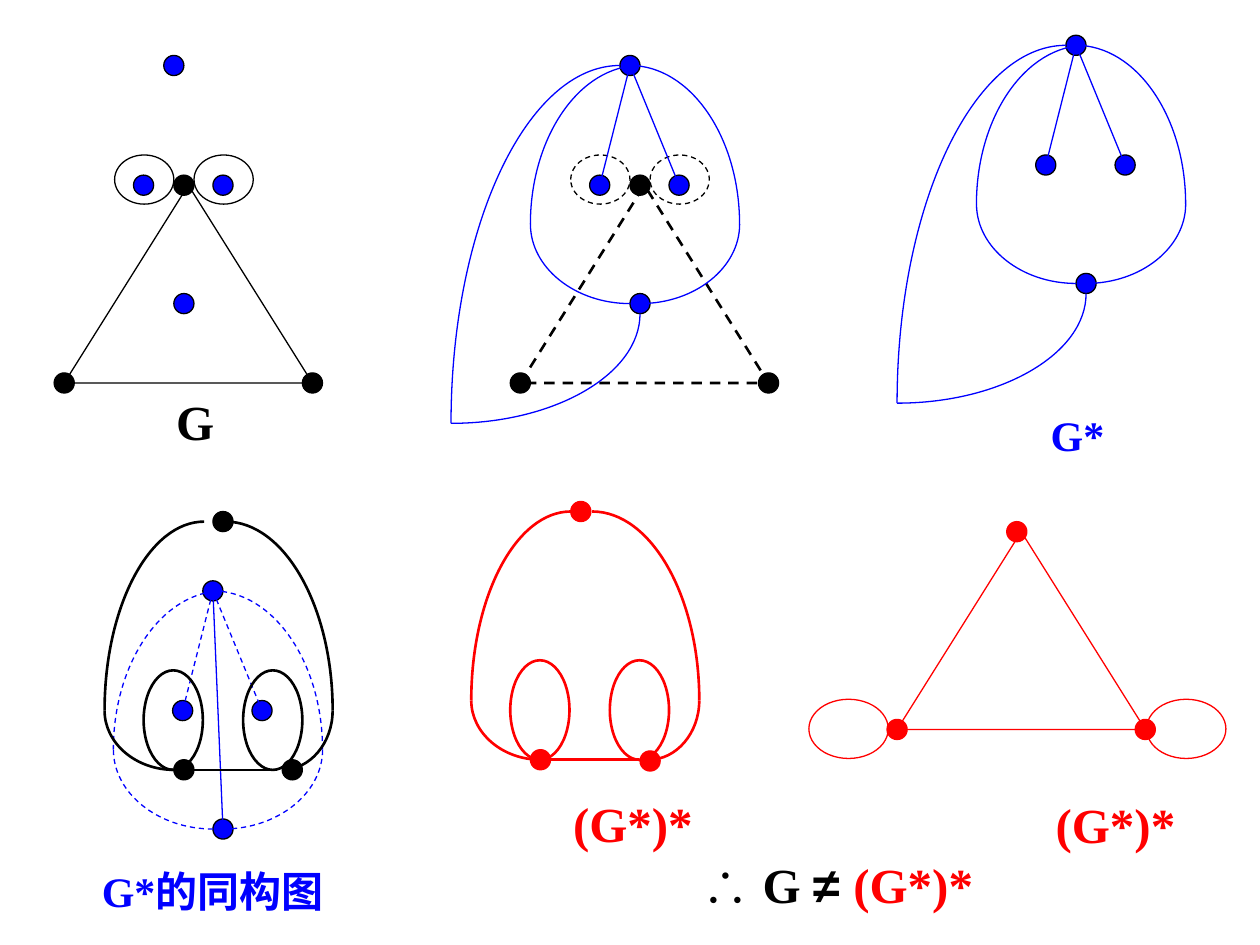
from lxml import etree
from pptx import Presentation
from pptx import util as u
from pptx.dml.color import RGBColor
from pptx.enum import dml, shapes, text
from pptx.oxml.ns import qn

BLACK, BLUE, RED = "000000", "0000FF", "FF0000"
SERIF, SANS = "Times New Roman", "Arial"
DOT = 0.16
BEND = 0.55

DUAL_DOTS = [(-0.24, 0.95), (0.39, 0.95), (0.08, 1.89), (0, 0)]
DUAL_ARCS = [((0, 0), (0.87, 1.26)), ((0.08, 0), (-0.79, 1.26)),
             ((0.08, 1.89), (0.87, 1.26)), ((0, 1.89), (-0.79, 1.26))]
DUAL_TAIL = [((-0.08, 0), (-1.42, 2.84)), ((-1.42, 2.84), (0.08, 1.97))]
EGG_ARCS = [((0.79, 0), (0, 1.5)), ((0.96, 0), (1.81, 1.5)),
            ((1.41, 1.97), (1.81, 1.5)), ((0.55, 1.97), (0, 1.5))]
EGG_LOOPS = [(0.31, 1.18, 0.47, 0.79), (1.1, 1.18, 0.47, 0.79)]
TRIANGLE_DOTS = [(0, 0), (1.02, 1.57), (-0.95, 1.57)]
APEX_LOOPS = [(0.08, -0.24, 0.47, 0.39), (-0.55, -0.24, 0.47, 0.39)]
BASE_LOOPS = [(-1.65, 1.33, 0.63, 0.47), (1.03, 1.33, 0.63, 0.47)]

TRIANGLES = [
    ((1.46, 1.47), BLACK, 0.75, False, APEX_LOOPS),
    ((5.08, 1.47), BLACK, 1.5, True, APEX_LOOPS),
    ((8.07, 4.22), RED, 0.75, False, BASE_LOOPS),
]
EGGS = [
    ((0.83, 4.14), BLACK, [(0.94, 0), (1.49, 1.97), (0.63, 1.97)]),
    ((3.74, 4.06), RED, [(0.87, 0), (1.42, 1.98), (0.55, 1.97)]),
]
DUALS = [
    ((5, 0.52), False, DUAL_TAIL),
    ((8.54, 0.36), False, DUAL_TAIL),
    ((1.69, 4.69), True, []),
]
FACES_OF_G = (1.38, 0.52)
LABELS = [
    ((8.24, 3.2, 0.65, 0.5), False, 24, [("G*", SERIF, BLUE)]),
    ((1.3, 3.06, 0.5, 0.57), False, 28, [("G", SERIF, BLACK)]),
    ((4.45, 6.25, 1.15, 0.57), False, 28, [("(G*)*", SERIF, RED)]),
    ((8.28, 6.26, 1.15, 0.57), True, 28, [("(G*)*", SERIF, RED)]),
    ((5.47, 6.73, 2.6, 0.57), True, 28,
     [("∴", SANS, BLACK), (" G ", SERIF, BLACK), ("≠ ", SANS, BLACK), ("(G*)*", SERIF, RED)]),
    ((0.71, 6.82, 2.04, 0.5), False, 24, [("G*的同构图", SERIF, BLUE)]),
]

deck = Presentation()
deck.slide_width, deck.slide_height = u.Inches(10), u.Inches(7.5)
canvas = deck.slides.add_slide(deck.slide_layouts[6]).shapes


def rgb(color):
    return RGBColor.from_string(color)


def shift(origin, point):
    return origin[0] + point[0], origin[1] + point[1]


def stroke(line, color, width, dashed=False):
    line.color.rgb = rgb(color)
    line.width = u.Pt(width)
    if dashed:
        line.dash_style = dml.MSO_LINE.DASH


def outline(shape, color, width, dashed=False, fill=None):
    shape.shadow.inherit = False
    stroke(shape.line, color, width, dashed)
    if fill:
        shape.fill.solid()
        shape.fill.fore_color.rgb = rgb(fill)
    else:
        shape.fill.background()


def preset(kind, box, *style):
    outline(canvas.add_shape(kind, *map(u.Inches, box)), *style)


def dots(origin, points, fill, edge):
    for point in points:
        x, y = shift(origin, point)
        preset(shapes.MSO_SHAPE.OVAL, (x - DOT / 2, y - DOT / 2, DOT, DOT), edge, 0.75, False, fill)


def loops(origin, boxes, *style):
    for box in boxes:
        preset(shapes.MSO_SHAPE.OVAL, (*shift(origin, box), *box[2:]), *style)


def edge(origin, start, end, *style):
    ends = [u.Inches(v) for point in (start, end) for v in shift(origin, point)]
    link = canvas.add_connector(shapes.MSO_CONNECTOR.STRAIGHT, *ends)
    stroke(link.line, *style)
    etree.SubElement(link._element.spPr, qn("a:effectLst"))


def arcs(origin, pairs, *style):
    for pole, side in pairs:
        (x0, y0), (x1, y1) = shift(origin, pole), shift(origin, side)
        bend = [(x0 + BEND * (x1 - x0), y0), (x1, y1 - BEND * (y1 - y0)), (x1, y1)]
        builder = canvas.build_freeform(u.Inches(x0), u.Inches(y0))
        builder.add_line_segments([(u.Inches(x), u.Inches(y)) for x, y in bend], close=False)
        curve = builder.convert_to_shape()
        route = curve._element.find(".//" + qn("a:path"))
        cubic = etree.SubElement(route, qn("a:cubicBezTo"))
        for segment in route.findall(qn("a:lnTo")):
            cubic.append(segment[0])
            route.remove(segment)
        outline(curve, *style)


def triangle_graph(apex, color, width, dashed, loop_boxes):
    preset(shapes.MSO_SHAPE.ISOSCELES_TRIANGLE,
           (*shift(apex, (-0.95, 0)), 1.97, 1.57), color, width, dashed)
    dots(apex, TRIANGLE_DOTS, color, color)
    loops(apex, loop_boxes, color, 0.75, dashed)


def dual_graph(apex, dashed, tail):
    style = BLUE, 0.75, dashed
    dots(apex, DUAL_DOTS, BLUE, BLACK)
    for inner in DUAL_DOTS[:2]:
        edge(apex, (0, 0), inner, *style)
    arcs(apex, DUAL_ARCS + tail, *style)
    if not tail:
        edge(apex, (0, 0), DUAL_DOTS[2], BLUE, 0.75)


def egg_graph(corner, color, points):
    loops(corner, EGG_LOOPS, color, 1.5)
    arcs(corner, EGG_ARCS, color, 1.5)
    edge(corner, (0.63, 1.97), (1.33, 1.97), color, 1.5)
    dots(corner, points, color, color)


def label(box, wrap, size, pieces):
    frame = canvas.add_textbox(*map(u.Inches, box)).text_frame
    frame.word_wrap = wrap
    frame.auto_size = text.MSO_AUTO_SIZE.SHAPE_TO_FIT_TEXT
    for words, face, color in pieces:
        run = frame.paragraphs[0].add_run()
        run.text = words
        run.font.name, run.font.size, run.font.bold = face, u.Pt(size), True
        run.font.color.rgb = rgb(color)


for graph in TRIANGLES:
    triangle_graph(*graph)
dots(FACES_OF_G, DUAL_DOTS, BLUE, BLACK)
for graph in DUALS:
    dual_graph(*graph)
for graph in EGGS:
    egg_graph(*graph)
for entry in LABELS:
    label(*entry)

deck.save("out.pptx")
